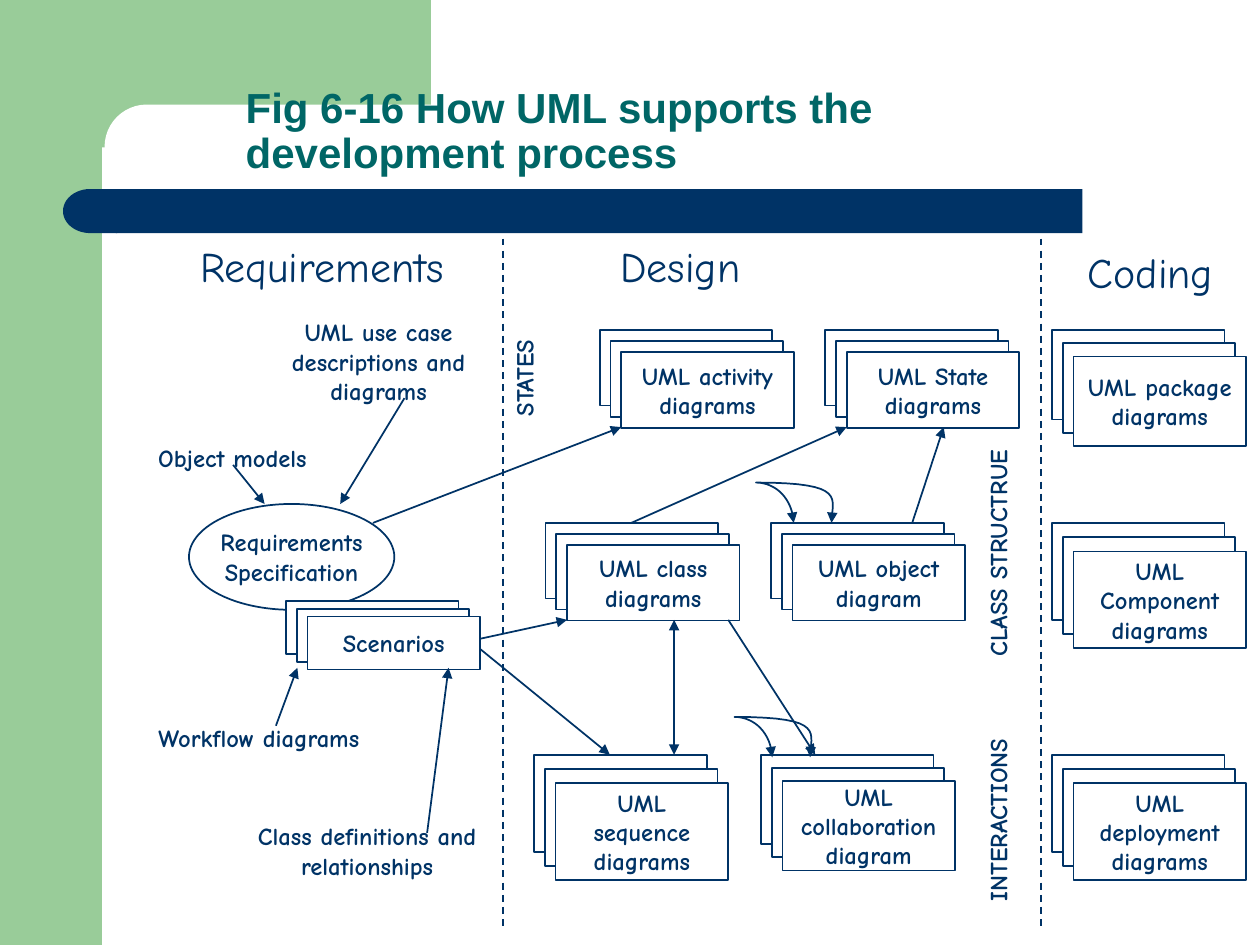
from lxml.etree import SubElement
from pptx import Presentation
from pptx.dml.color import RGBColor
from pptx.enum.dml import MSO_LINE
from pptx.enum.shapes import MSO_CONNECTOR, MSO_SHAPE
from pptx.enum.text import MSO_ANCHOR, PP_ALIGN
from pptx.oxml.ns import qn
from pptx.util import Inches, Pt

NAVY = RGBColor(0x00, 0x33, 0x66)
TEAL = RGBColor(0x00, 0x66, 0x66)
GREEN = RGBColor(0x99, 0xCC, 0x99)
WHITE = RGBColor(0xFF, 0xFF, 0xFF)

TITLE = "Fig 6-16 How UML supports the development process"
TITLE_FORMAT = {"name": "Arial", "size": Pt(24), "bold": True}
HEADING_FORMAT = {"name": "Comic Neue", "size": Pt(24), "bold": False}
LABEL_FORMAT = {"name": "Comic Neue", "size": Pt(14), "bold": True}

BACKDROP = [
    (MSO_SHAPE.RECTANGLE, (0, 0, 0.81, 7.5), GREEN),
    (MSO_SHAPE.RECTANGLE, (0.73, 0, 2.69, 1.17), GREEN),
    (MSO_SHAPE.ROUNDED_RECTANGLE, (0.83, 0.83, 5.58, 0.67), WHITE),
    (MSO_SHAPE.RECTANGLE, (0.92, 1.5, 7.67, 0.35), NAVY),
    (MSO_SHAPE.FLOWCHART_DELAY, (0.5, 1.5, 0.43, 0.35), NAVY),
]
HEADINGS = [
    ("Requirements", (1.38, 1.86, 2.35, 0.5)),
    ("Design", (4.33, 1.86, 2.14, 0.5)),
    ("Coding", (8.39, 1.91, 1.48, 0.5)),
]
INPUTS = [
    ("Object models", (0.99, 3.47, 1.71, 0.34)),
    ("UML use case descriptions and diagrams", (2.19, 2.47, 1.63, 0.8)),
    ("Workflow diagrams", (0.9, 5.69, 2.31, 0.34)),
    ("Class definitions and relationships", (1.76, 6.47, 2.31, 0.57)),
]
VIEWS = [
    ("STATES", (3.99, 2.63, 0.43, 0.74)),
    ("CLASS STRUCTRUE", (7.75, 3.52, 0.43, 1.74)),
    ("INTERACTIONS", (7.75, 5.81, 0.43, 1.4)),
]
SPECIFICATION = (["Requirements", "Specification"], (1.5, 4, 1.63, 0.84))
STACKS = [
    (["Scenarios"], 2.27, 4.77, 0.42),
    (["UML activity", "diagrams"], 4.76, 2.62, 0.6),
    (["UML State", "diagrams"], 6.55, 2.62, 0.6),
    (["UML class", "diagrams"], 4.33, 4.15, 0.6),
    (["UML object", "diagram"], 6.12, 4.15, 0.6),
    (["UML", "sequence", "diagrams"], 4.24, 5.99, 0.77),
    (["UML", "collaboration", "diagram"], 6.04, 5.99, 0.71),
    (["UML package", "diagrams"], 8.35, 2.62, 0.71),
    (["UML", "Component", "diagrams"], 8.35, 4.15, 0.77),
    (["UML", "deployment", "diagrams"], 8.35, 5.99, 0.77),
]
SHEET_WIDTH, SHEET_SHIFT, SHEET_DROP = 1.37, 0.085, 0.147
DIVIDERS = [3.99, 8.26]
ARROWS = [
    (3.21, 3.16, 2.7, 4), (1.85, 3.69, 2.1, 4), (2.19, 5.76, 2.36, 5.3),
    (3.39, 6.61, 3.56, 5.3), (2.96, 4.15, 4.93, 3.39), (5.01, 4.15, 6.72, 3.39),
    (7.24, 4.15, 7.49, 3.39), (3.81, 5.07, 4.5, 4.92), (3.81, 5.15, 4.84, 5.99),
    (5.78, 4.92, 6.47, 5.99),
]
TWO_WAY_ARROW = (5.35, 4.92, 5.35, 5.99)
FORKS = [(5.83, 5.69), (6, 3.83)]
FORK_CURVES = [
    [(0.3, 0.32), (0.29, 0.13), (0.16, 0), (0, 0)],
    [(0, 0), (0.74, 0), (0.6, 0.13), (0.6, 0.32)],
]
CURVE_STEPS = 16

deck = Presentation()
deck.slide_width, deck.slide_height = Inches(10), Inches(7.5)
slide = deck.slides.add_slide(deck.slide_layouts[5])
shapes = slide.shapes


def inches(values):
    return [Inches(value) for value in values]


def write(frame, lines, formats, color=NAVY, align=PP_ALIGN.CENTER):
    for index, line in enumerate(lines):
        paragraph = frame.add_paragraph() if index else frame.paragraphs[0]
        paragraph.alignment = align
        run = paragraph.add_run()
        run.text = line
        for key, value in formats.items():
            setattr(run.font, key, value)
        run.font.color.rgb = color


def add_block(kind, box, fill, outlined=False, lines=()):
    block = shapes.add_shape(kind, *inches(box))
    block.shadow.inherit = False
    block.fill.solid()
    block.fill.fore_color.rgb = fill
    if outlined:
        block.line.color.rgb = NAVY
        block.line.width = Pt(1)
    else:
        block.line.fill.background()
    if lines:
        block.text_frame.word_wrap = False
        block.text_frame.vertical_anchor = MSO_ANCHOR.MIDDLE
        write(block.text_frame, lines, LABEL_FORMAT)
    return block


def add_label(text, box, formats):
    frame = shapes.add_textbox(*inches(box)).text_frame
    frame.word_wrap = True
    write(frame, [text], formats)
    return frame


def style_line(stroke, ends=()):
    stroke.line.color.rgb = NAVY
    stroke.line.width = Pt(1)
    outline = stroke.line._get_or_add_ln()
    for end in ends:
        SubElement(outline, qn(f"a:{end}"), type="triangle")


def add_line(points, ends=()):
    line = shapes.add_connector(MSO_CONNECTOR.STRAIGHT, *inches(points))
    style_line(line, ends)
    SubElement(line.element.spPr, qn("a:effectLst"))
    return line


def curve_point(curve, t):
    weights = ((1 - t) ** 3, 3 * t * (1 - t) ** 2, 3 * t * t * (1 - t), t ** 3)
    return [sum(w * point[axis] for w, point in zip(weights, curve)) for axis in (0, 1)]


def add_fork(left, top):
    points = []
    for curve in FORK_CURVES:
        for step in range(CURVE_STEPS + 1):
            x, y = curve_point(curve, step / CURVE_STEPS)
            points.append((Inches(left + x), Inches(top + y)))
    builder = shapes.build_freeform(*points[0])
    builder.add_line_segments(points[1:], close=False)
    fork = builder.convert_to_shape()
    fork.shadow.inherit = False
    fork.fill.background()
    style_line(fork, ("headEnd", "tailEnd"))


for kind, box, fill in BACKDROP:
    part = add_block(kind, box, fill)
    if kind == MSO_SHAPE.ROUNDED_RECTANGLE:
        part.adjustments[0] = 0.5
    if kind == MSO_SHAPE.FLOWCHART_DELAY:
        part.rotation = 180

title = shapes.title
title.left, title.top, title.width, title.height = inches((1.85, 0.63, 7.24, 0.83))
title.text_frame.vertical_anchor = MSO_ANCHOR.BOTTOM
title.text_frame.word_wrap = True
write(title.text_frame, [TITLE], TITLE_FORMAT, TEAL, PP_ALIGN.LEFT)
title.text_frame.paragraphs[0].line_spacing = 0.9
shapes.element.append(title.element)

add_block(MSO_SHAPE.OVAL, SPECIFICATION[1], WHITE, True, SPECIFICATION[0])
for lines, left, top, height in STACKS:
    for sheet in range(3):
        box = (left + sheet * SHEET_SHIFT, top + sheet * height * SHEET_DROP, SHEET_WIDTH, height)
        add_block(MSO_SHAPE.RECTANGLE, box, WHITE, True, lines if sheet == 2 else ())

for text, box in HEADINGS:
    add_label(text, box, HEADING_FORMAT)
for text, box in INPUTS:
    add_label(text, box, LABEL_FORMAT)
for text, box in VIEWS:
    frame = add_label(text, box, LABEL_FORMAT)
    frame.word_wrap = False
    frame.margin_left = frame.margin_right = Inches(0.05)
    frame.margin_top = frame.margin_bottom = Inches(0.1)
    frame._txBody.bodyPr.set("vert", "vert270")

for x in DIVIDERS:
    add_line((x, 1.7, x, 7.37)).line.dash_style = MSO_LINE.DASH
for points in ARROWS:
    add_line(points, ["tailEnd"])
add_line(TWO_WAY_ARROW, ["headEnd", "tailEnd"])
for left, top in FORKS:
    add_fork(left, top)

deck.save("out.pptx")
